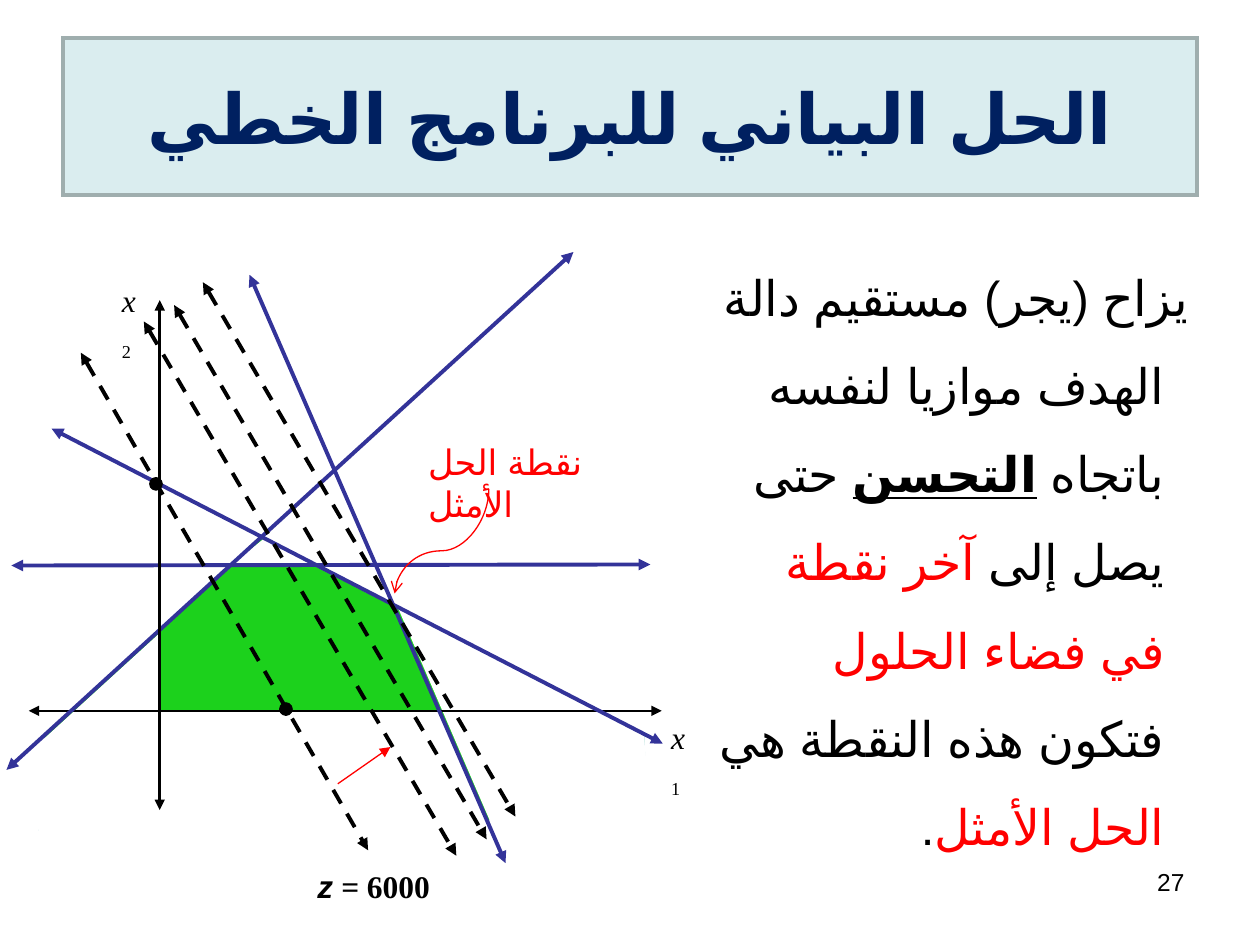
from lxml.etree import SubElement
from pptx import Presentation
from pptx.dml.color import RGBColor
from pptx.enum.dml import MSO_LINE_DASH_STYLE as Dash
from pptx.enum.lang import MSO_LANGUAGE_ID as Language
from pptx.enum.shapes import MSO_CONNECTOR as Link, MSO_SHAPE as Preset
from pptx.enum.text import MSO_ANCHOR as Anchor, MSO_AUTO_SIZE as AutoSize, PP_ALIGN as Align
from pptx.oxml.ns import qn
from pptx.util import Cm, Pt

BLACK, WHITE, RED, NAVY = "000000", "FFFFFF", "FF0000", "002060"
BLUE, GREEN, PALE = "333399", "00CC00", "BBE0E3"
SERIF, SANS = "Times New Roman", "Arial"
ARABIC = Language.ARABIC


def color(hex_value):
    return RGBColor.from_string(hex_value)


def add_spans(para, spans, **base):
    """Add (text, formats) runs; each run's formats override the base ones."""
    for text, formats in spans:
        span = para.add_run()
        span.text = text
        for name, value in {**base, **formats}.items():
            if name == "color":
                span.font.color.rgb = color(value)
            elif name == "baseline":
                span.font._element.set("baseline", str(value))
            else:
                setattr(span.font, name, Pt(value) if name == "size" else value)
        SubElement(span.font._element, qn("a:cs"), typeface=SANS)


def add_text(page, box, spans, align=Align.LEFT, wrap=True, grow=False, rtl=False, **base):
    shape = page.shapes.add_textbox(*map(Cm, box))
    frame = shape.text_frame
    frame.word_wrap = wrap
    frame.auto_size = AutoSize.SHAPE_TO_FIT_TEXT if grow else AutoSize.NONE
    para = frame.paragraphs[0]
    para.alignment = align
    if rtl:
        para._p.get_or_add_pPr().set("rtl", "1")
    add_spans(para, spans, **base)
    return shape


def add_line(page, start, end, hex_value, width, head=None, tail="triangle",
             dashed=False, kind=Link.STRAIGHT):
    line = page.shapes.add_connector(kind, *map(Cm, (*start, *end)))
    line.line.color.rgb = color(hex_value)
    line.line.width = Pt(width)
    if dashed:
        line.line.dash_style = Dash.DASH
    outline = line.line._get_or_add_ln()
    for tag, arrow in (("a:headEnd", head), ("a:tailEnd", tail)):
        if arrow:
            SubElement(outline, qn(tag), type=arrow)
    SubElement(line._element.spPr, qn("a:effectLst"))
    return line


def add_polygon(page, points, fill):
    first, *rest = [(Cm(x), Cm(y)) for x, y in points]
    builder = page.shapes.build_freeform(*first)
    builder.add_line_segments(rest, close=True)
    shape = builder.convert_to_shape()
    shape.shadow.inherit = False
    shape.fill.solid()
    shape.fill.fore_color.rgb = color(fill)
    shape.line.fill.background()
    return shape


def add_title(page, box):
    shape = add_text(page, box, [("الحل البياني للبرنامج الخطي", {})], Align.CENTER,
                     rtl=True, size=40, name=SANS, color=NAVY, bold=True, language_id=ARABIC)
    shape.text_frame.vertical_anchor = Anchor.MIDDLE
    shape.fill.solid()
    shape.fill.fore_color.rgb = color("DAEDEF")
    shape.line.color.rgb = color("9FAEAE")
    shape.line.width = Pt(2.25)
    SubElement(shape.line._get_or_add_ln(), qn("a:miter"), lim="800000")


def add_explanation(page, box):
    red = {"color": RED}
    spans = [("يزاح (يجر) مستقيم دالة الهدف موازيا لنفسه باتجاه ", {}),
             ("التحسن", {"bold": True, "underline": True}),
             (" حتى يصل إلى ", {}), ("آخر نقطة في فضاء الحلول", red),
             (" فتكون هذه النقطة هي ", {}), ("الحل الأمثل", red), (".", {})]
    shape = add_text(page, box, spans, Align.RIGHT, rtl=True,
                     size=28, name=SERIF, color=BLACK, language_id=ARABIC)
    para = shape.text_frame.paragraphs[0]
    para.line_spacing = 1.5
    indent = Cm(0.48)
    for name, value in {"marL": indent, "indent": -indent}.items():
        para._p.get_or_add_pPr().set(name, str(int(value)))


def add_graph(page, left, top):
    def at(x, y):
        return left + x, top + y

    def polygon(points, fill):
        return add_polygon(page, [at(*point) for point in points], fill)

    def label(x, y, width, height, spans, wrap=True, **base):
        add_text(page, (*at(x, y), width, height), spans, wrap=wrap, grow=True, **base)

    def double_arrow(start, end, hex_value, width, dashed=False):
        add_line(page, at(*start), at(*end), hex_value, width, "triangle", dashed=dashed)

    def objective(start, run, rise):
        x, y = start
        double_arrow(start, (x + run, y + rise), BLACK, 2.25, dashed=True)

    feasible = polygon([(1.22, 3.76), (12.98, 9.81), (13.03, 11.48), (0.79, 11.74)], GREEN)
    feasible.line.color.rgb = color(PALE)
    feasible.line.width = Pt(0.75)
    tint = feasible._element.spPr.find(qn("a:solidFill"))[0]
    SubElement(tint, qn("a:alpha"), val="89000")

    for axis, x, y in (("1", 13.28, 9.35), ("2", 2.21, 0.54)):
        label(x, y, 0.93, 1.02, [("x", {"italic": True}), (axis, {"baseline": -25000})],
              size=18, name=SERIF, color=BLACK)

    infeasible_areas = [
        [(8.03, 7.27), (9.96, 11.74), (13.16, 11.74), (12.98, 9.83), (7.98, 7.19)],
        [(0.3, 3.26), (5.26, 5.82), (0.38, 10.32)],
        [(5.31, 5.87), (4.7, 6.35), (6.32, 6.4)],
        [(3.2, 7.78), (3.2, 9.32), (8.84, 9.35), (10.29, 12.55), (0.97, 13.14), (0.56, 10.19)],
    ]
    for area in infeasible_areas:
        polygon(area, WHITE)

    double_arrow((0.58, 9.33), (13.34, 9.33), BLACK, 1.5)
    constraints = [((1.04, 3.64), (13.36, 9.99)), ((5.03, 0.54), (10.19, 12.4)),
                   ((11.56, 0.08), (0.13, 10.52)), ((13.11, 6.38), (0.23, 6.4))]
    for start, end in constraints:
        double_arrow(start, end, BLUE, 2.25)
    double_arrow((3.22, 1.05), (3.22, 11.33), BLACK, 1.5)

    for x, y in ((5.64, 9.17), (3.02, 4.63)):
        dot = page.shapes.add_shape(Preset.OVAL, *map(Cm, (*at(x, y), 0.25, 0.25)))
        dot.shadow.inherit = False
        dot.fill.solid()
        dot.fill.fore_color.rgb = dot.line.color.rgb = color(BLACK)
        dot.line.width = Pt(0.75)

    label(6.15, 12.35, 2.79, 1.02,
          [("z", {"name": SANS, "italic": True}), (" = ", {"italic": True}), ("6000", {})],
          wrap=False, size=18, name=SERIF, color=BLACK, bold=True)
    add_line(page, at(6.81, 10.8), at(7.87, 10.06), RED, 0.75)
    for start in ((2.9, 1.48), (3.51, 1.15), (4.09, 0.69)):
        objective(start, 6.3, 10.77)

    label(8.38, 3.76, 4.32, 1.12, [("نقطة الحل الأمثل", {})],
          size=20, name=SANS, color=RED, language_id=ARABIC)
    pointer = add_line(page, at(7.85, 4.96), at(9.96, 6.86), RED, 0.75,
                       tail="arrow", kind=Link.CURVE)
    properties = pointer._element.spPr
    properties.find(qn("a:xfrm")).set("rot", "5400000")
    guides = properties.find(qn("a:prstGeom")).find(qn("a:avLst"))
    SubElement(guides, qn("a:gd"), name="adj1", fmla="val 59200")
    objective((1.63, 2.11), 5.79, 10.03)


def main():
    deck = Presentation()
    deck.slide_width, deck.slide_height = Cm(25.4), Cm(19.05)
    page = deck.slides.add_slide(deck.slide_layouts[6])
    add_text(page, (18.21, 17.35, 5.92, 1.32), [("27", {})], Align.RIGHT,
             size=14, name=SANS, color=BLACK)
    add_title(page, (1.27, 0.76, 22.86, 3.18))
    add_explanation(page, (14.25, 4.67, 9.96, 10.59))
    add_graph(page, 0, 5)
    deck.save("out.pptx")


if __name__ == "__main__":
    main()
